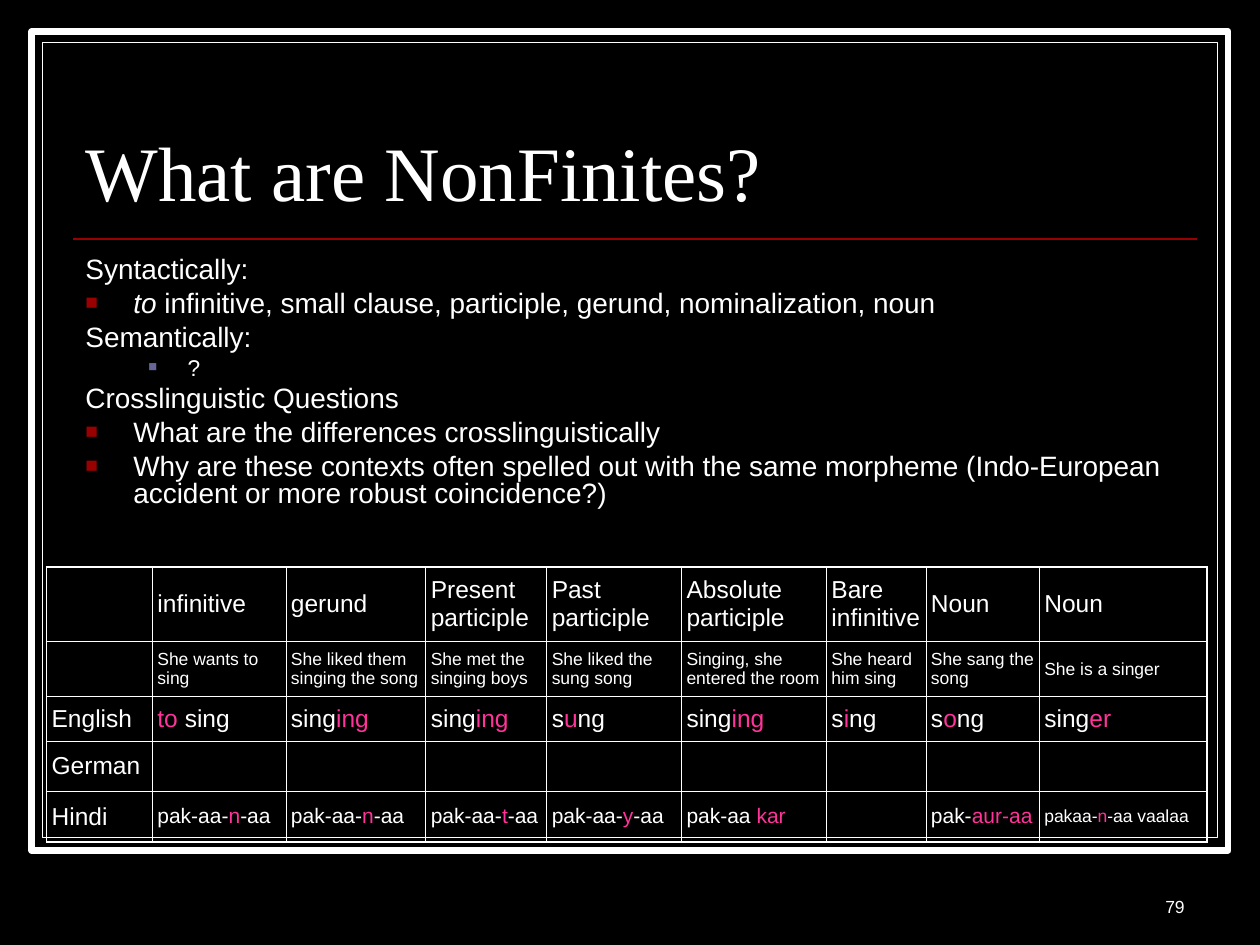
from dataclasses import dataclass

import lxml.etree
import pptx
import pptx.dml.color
import pptx.enum.shapes
import pptx.enum.text
import pptx.oxml.ns
import pptx.util

BLACK = pptx.dml.color.RGBColor(0x00, 0x00, 0x00)
WHITE = pptx.dml.color.RGBColor(0xFF, 0xFF, 0xFF)
PINK = pptx.dml.color.RGBColor(0xFF, 0x33, 0x99)
RED = pptx.dml.color.RGBColor(0x99, 0x00, 0x00)
VIOLET = pptx.dml.color.RGBColor(0x66, 0x66, 0x99)
SLIDE_WIDTH = pptx.util.Inches(10)
SLIDE_HEIGHT = pptx.util.Inches(7.5)


def across(percent: float) -> int:
    return round(SLIDE_WIDTH * percent / 100)


def down(percent: float) -> int:
    return round(SLIDE_HEIGHT * percent / 100)


@dataclass(frozen=True)
class Box:
    left: float
    top: float
    width: float
    height: float

    def lengths(self) -> tuple[int, int, int, int]:
        return across(self.left), down(self.top), across(self.width), down(self.height)


@dataclass(frozen=True)
class Level:
    size: float
    space_before: float
    margin: float
    hanging: float
    bullet_color: pptx.dml.color.RGBColor | None = None
    bullet_percent: int = 75


@dataclass(frozen=True)
class BodyLine:
    text: str
    level: Level
    italic_start: str = ""


HEADING = Level(16, 4, 3.8, 3.8)
POINT = Level(16, 4, 3.8, 3.8, RED)
SUBPOINT = Level(13, 3.3, 8.1, 3.1, VIOLET, 65)

BODY = [
    BodyLine("Syntactically:", HEADING),
    BodyLine("infinitive, small clause, participle, gerund, nominalization, noun", POINT, "to "),
    BodyLine("Semantically:", HEADING),
    BodyLine("?", SUBPOINT),
    BodyLine("Crosslinguistic Questions", HEADING),
    BodyLine("What are the differences crosslinguistically", POINT),
    BodyLine("Why are these contexts often spelled out with the same morpheme "
             "(Indo-European accident or more robust coincidence?)", POINT),
]

# Every second part between bars is highlighted.
TABLE = [
    ["", "infinitive", "gerund", "Present participle", "Past participle",
     "Absolute participle", "Bare infinitive", "Noun", "Noun"],
    ["", "She wants to sing", "She liked them singing the song", "She met the singing boys",
     "She liked the sung song", "Singing, she entered the room", "She heard him sing",
     "She sang the song", "She is a singer"],
    ["English", "|to |sing", "sing|ing", "sing|ing", "s|u|ng", "sing|ing", "s|i|ng",
     "s|o|ng", "sing|er"],
    ["German"] + [""] * 8,
    ["Hindi", "pak-aa-|n|-aa", "pak-aa-|n|-aa", "pak-aa-|t|-aa", "pak-aa-|y|-aa",
     "pak-aa |kar", "", "pak-|aur-aa", "pakaa-|n|-aa vaalaa"],
]
COLUMN_WIDTHS = [8.4, 10.6, 11.1, 9.6, 10.7, 11.5, 7.9, 9, 13.3]
ROW_HEIGHTS = [7.87, 5.87, 4.67, 4.67, 4.67]
ROW_SIZES = [14, 10, 14, 14, 12]
SIZE_EXCEPTIONS = {(4, 0): 14, (4, 8): 10}


def add_run(paragraph, text: str, size: float, color=WHITE, name: str = "Arial",
            italic: bool = False) -> None:
    run = paragraph.add_run()
    run.text = text
    run.font.name = name
    run.font.size = pptx.util.Pt(size)
    run.font.color.rgb = color
    run.font.italic = italic


def add_child(parent, tag: str, **attributes: str):
    return lxml.etree.SubElement(parent, pptx.oxml.ns.qn(tag), **attributes)


def draw_frame(slide, box: Box, line_width: float) -> None:
    shape = slide.shapes.add_shape(pptx.enum.shapes.MSO_SHAPE.RECTANGLE, *box.lengths())
    shape.shadow.inherit = False
    shape.fill.solid()
    shape.fill.fore_color.rgb = BLACK
    shape.line.color.rgb = WHITE
    shape.line.width = pptx.util.Pt(line_width)


def draw_rule(slide, left: float, right: float, top: float) -> None:
    connector = slide.shapes.add_connector(
        pptx.enum.shapes.MSO_CONNECTOR.STRAIGHT,
        across(left), down(top), across(right), down(top))
    connector.line.color.rgb = RED
    connector.line.width = pptx.util.Pt(1)
    add_child(connector._element.spPr, "a:effectLst")


def place_title(slide, box: Box, text: str) -> None:
    title = slide.shapes.title
    title.left, title.top, title.width, title.height = box.lengths()
    slide.shapes._spTree.append(title._element)
    text_frame = title.text_frame
    text_frame.text = text
    text_frame.vertical_anchor = pptx.enum.text.MSO_ANCHOR.BOTTOM
    text_frame.auto_size = pptx.enum.text.MSO_AUTO_SIZE.NONE
    paragraph = text_frame.paragraphs[0]
    paragraph.alignment = pptx.enum.text.PP_ALIGN.LEFT
    paragraph.line_spacing = 0.8
    font = paragraph.runs[0].font
    font.name = "Times New Roman"
    font.size = pptx.util.Pt(44)
    font.color.rgb = WHITE


def draw_body(slide, box: Box, lines: list[BodyLine]) -> None:
    text_frame = slide.shapes.add_textbox(*box.lengths()).text_frame
    text_frame.word_wrap = True
    for index, line in enumerate(lines):
        paragraph = text_frame.add_paragraph() if index else text_frame.paragraphs[0]
        level = line.level
        paragraph.line_spacing = 0.8
        paragraph.space_before = pptx.util.Pt(level.space_before if index else 0)
        properties = paragraph._p.get_or_add_pPr()
        properties.set("marL", str(across(level.margin)))
        properties.set("indent", str(-across(level.hanging)))
        if level.bullet_color is None:
            add_child(properties, "a:buNone")
        else:
            color = add_child(properties, "a:buClr")
            add_child(color, "a:srgbClr", val=str(level.bullet_color))
            add_child(properties, "a:buSzPct", val=str(level.bullet_percent * 1000))
            add_child(properties, "a:buFont", typeface="Arial")
            add_child(properties, "a:buChar", char="■")
        if line.italic_start:
            add_run(paragraph, line.italic_start, level.size, italic=True)
        add_run(paragraph, line.text, level.size)


def set_borders(cell, outer_sides: dict[str, bool]) -> None:
    properties = cell._tc.get_or_add_tcPr()
    for side, is_outer in outer_sides.items():
        width = pptx.util.Pt(1.08 if is_outer else 0.45)
        border = add_child(properties, f"a:ln{side}", w=str(width))
        fill = add_child(border, "a:solidFill")
        add_child(fill, "a:srgbClr", val=str(WHITE))


def draw_table(slide, left: float, top: float, rows: list[list[str]]) -> None:
    box = Box(left, top, sum(COLUMN_WIDTHS), sum(ROW_HEIGHTS))
    last_row, last_column = len(rows) - 1, len(COLUMN_WIDTHS) - 1
    table = slide.shapes.add_table(len(rows), len(COLUMN_WIDTHS), *box.lengths()).table
    table.first_row = table.horz_banding = False
    for column, width in zip(table.columns, COLUMN_WIDTHS):
        column.width = across(width)
    for row, height in zip(table.rows, ROW_HEIGHTS):
        row.height = down(height)
    for row, texts in enumerate(rows):
        for column, text in enumerate(texts):
            cell = table.cell(row, column)
            set_borders(cell, {"L": column == 0, "R": column == last_column,
                               "T": row == 0, "B": row == last_row})
            cell.fill.background()
            cell.vertical_anchor = pptx.enum.text.MSO_ANCHOR.MIDDLE
            cell.margin_left = cell.margin_right = across(0.4)
            size = SIZE_EXCEPTIONS.get((row, column), ROW_SIZES[row])
            for index, part in enumerate(text.split("|")):
                if part:
                    add_run(cell.text_frame.paragraphs[0], part, size,
                            PINK if index % 2 else WHITE)


def draw_page_number(slide, box: Box, number: str) -> None:
    text_frame = slide.shapes.add_textbox(*box.lengths()).text_frame
    text_frame.word_wrap = True
    text_frame.vertical_anchor = pptx.enum.text.MSO_ANCHOR.BOTTOM
    text_frame.paragraphs[0].alignment = pptx.enum.text.PP_ALIGN.RIGHT
    add_run(text_frame.paragraphs[0], number, 10)


def main() -> None:
    presentation = pptx.Presentation()
    presentation.slide_width, presentation.slide_height = SLIDE_WIDTH, SLIDE_HEIGHT
    slide = presentation.slides.add_slide(presentation.slide_layouts.get_by_name("Title Only"))
    slide.background.fill.solid()
    slide.background.fill.fore_color.rgb = BLACK
    draw_frame(slide, Box(2.5, 3.33, 95, 86.67), 3.5)
    draw_frame(slide, Box(3.35, 4.5, 93.3, 84.13), 0.75)
    draw_rule(slide, 5.8, 95, 25.3)
    draw_page_number(slide, Box(74.2, 91.07, 20.8, 6.67), "79")
    place_title(slide, Box(5.8, 6.93, 89.2, 16.67), "What are NonFinites?")
    draw_body(slide, Box(5.8, 26.67, 89.2, 30.93), BODY)
    draw_table(slide, 3.7, 60, TABLE)
    presentation.save("out.pptx")


if __name__ == "__main__":
    main()
